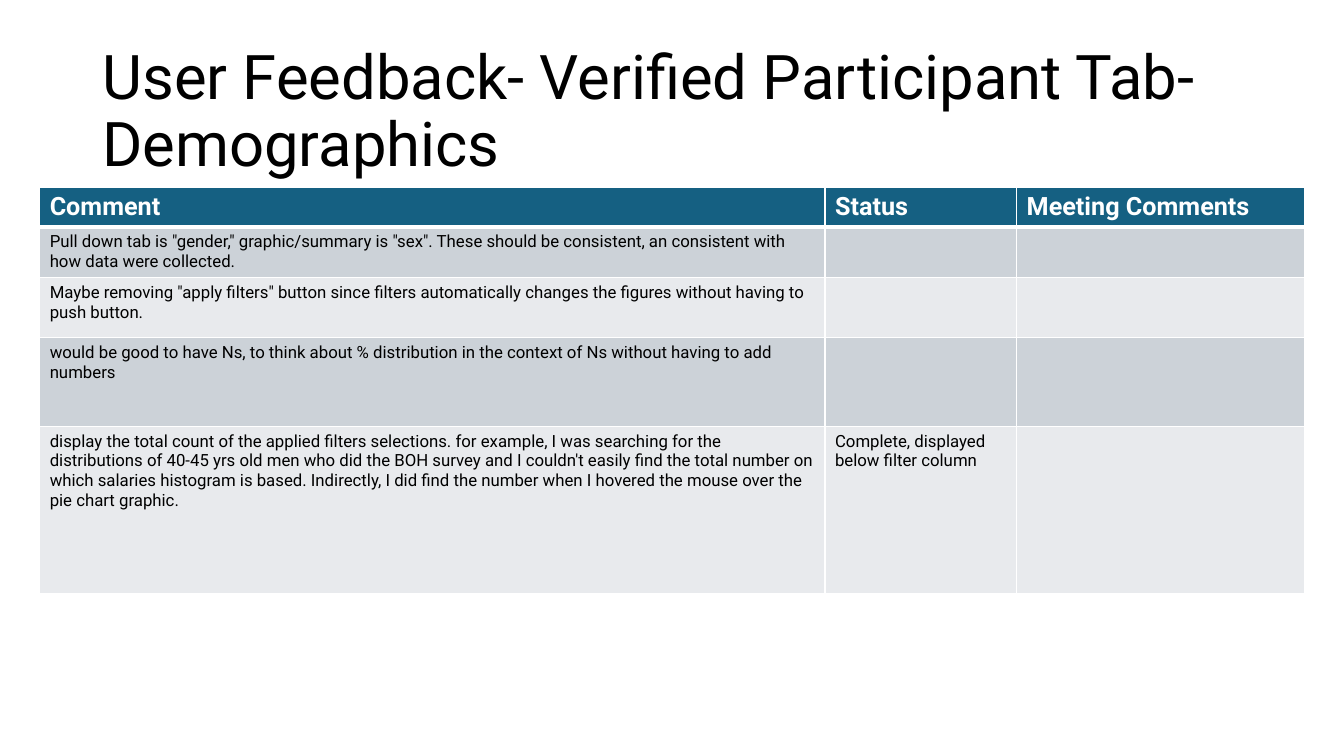
"""Builds the user feedback slide for the demographics tab."""
from lxml.etree import SubElement
from pptx import Presentation
from pptx.dml.color import RGBColor as Color
from pptx.enum.text import MSO_ANCHOR as Anchor
from pptx.oxml.ns import qn
from pptx.util import Cm, Pt

TITLE = "User Feedback- Verified Participant Tab- Demographics"
FEEDBACK = [
    ("Comment", "Status", "Meeting Comments"),
    ('Pull down tab is "gender," graphic/summary is "sex". These should be consistent, '
     "an consistent with how data were collected.", "", ""),
    ('Maybe removing "apply filters" button since filters automatically changes the '
     "figures without having to push button.", "", ""),
    ("would be good to have Ns, to think about % distribution in the context of Ns "
     "without having to add numbers", "", ""),
    ("display the total count of the applied filters selections. for example, I was "
     "searching for the distributions of 40-45 yrs old men who did the BOH survey and I "
     "couldn't easily find the total number on which salaries histogram is based. "
     "Indirectly, I did find the number when I hovered the mouse over the pie chart graphic.",
     "Complete, displayed below filter column", ""),
]
COLUMN_WIDTHS = [19.79, 4.83, 7.26]
ROW_HEIGHTS = [0.98, 1.25, 1.51, 2.24, 4.22]
COLORS = {"header": "156082", "odd": "CCD2D8", "even": "E8EAED",
          "white": "FFFFFF", "black": "000000"}
FONT = "Roboto"


def style_text(text_frame, size, color, bold=False):
    for paragraph in text_frame.paragraphs:
        for run in paragraph.runs:
            run.font.name = FONT
            run.font.size = Pt(size)
            run.font.bold = bold
            run.font.color.rgb = Color.from_string(COLORS[color])


def add_borders(cell, bottom_width):
    properties = cell._tc.get_or_add_tcPr()
    widths = {"lnL": 1, "lnR": 1, "lnT": 1, "lnB": bottom_width}
    for position, (side, width) in enumerate(widths.items()):
        line = SubElement(properties, qn(f"a:{side}"), w=str(Pt(width)))
        fill = SubElement(line, qn("a:solidFill"))
        SubElement(fill, qn("a:srgbClr"), val=COLORS["white"])
        properties.insert(position, line)


def add_title(slide):
    title = slide.shapes.add_textbox(Cm(2.33), Cm(1.01), Cm(29.21), Cm(3.68))
    text_frame = title.text_frame
    text_frame.word_wrap = True
    text_frame.vertical_anchor = Anchor.MIDDLE
    text_frame.text = TITLE
    text_frame.paragraphs[0].line_spacing = 0.9
    style_text(text_frame, 44, "black")


def add_feedback_table(slide):
    table = slide.shapes.add_table(
        len(FEEDBACK), len(COLUMN_WIDTHS), Cm(1), Cm(4.71),
        Cm(sum(COLUMN_WIDTHS)), Cm(sum(ROW_HEIGHTS))).table
    for column, width in zip(table.columns, COLUMN_WIDTHS):
        column.width = Cm(width)
    for index, (row, height) in enumerate(zip(table.rows, ROW_HEIGHTS)):
        row.height = Cm(height)
        header = index == 0
        fill = "header" if header else "odd" if index % 2 else "even"
        for cell, text in zip(row.cells, FEEDBACK[index]):
            cell.fill.solid()
            cell.fill.fore_color.rgb = Color.from_string(COLORS[fill])
            add_borders(cell, 3 if header else 1)
            cell.text_frame.text = text
            style_text(cell.text_frame, 18 if header else 12,
                       "white" if header else "black", header)


def main():
    presentation = Presentation()
    presentation.slide_width, presentation.slide_height = Cm(33.87), Cm(19.05)
    slide = presentation.slides.add_slide(presentation.slide_layouts[6])
    add_title(slide)
    add_feedback_table(slide)
    presentation.save("out.pptx")


if __name__ == "__main__":
    main()
